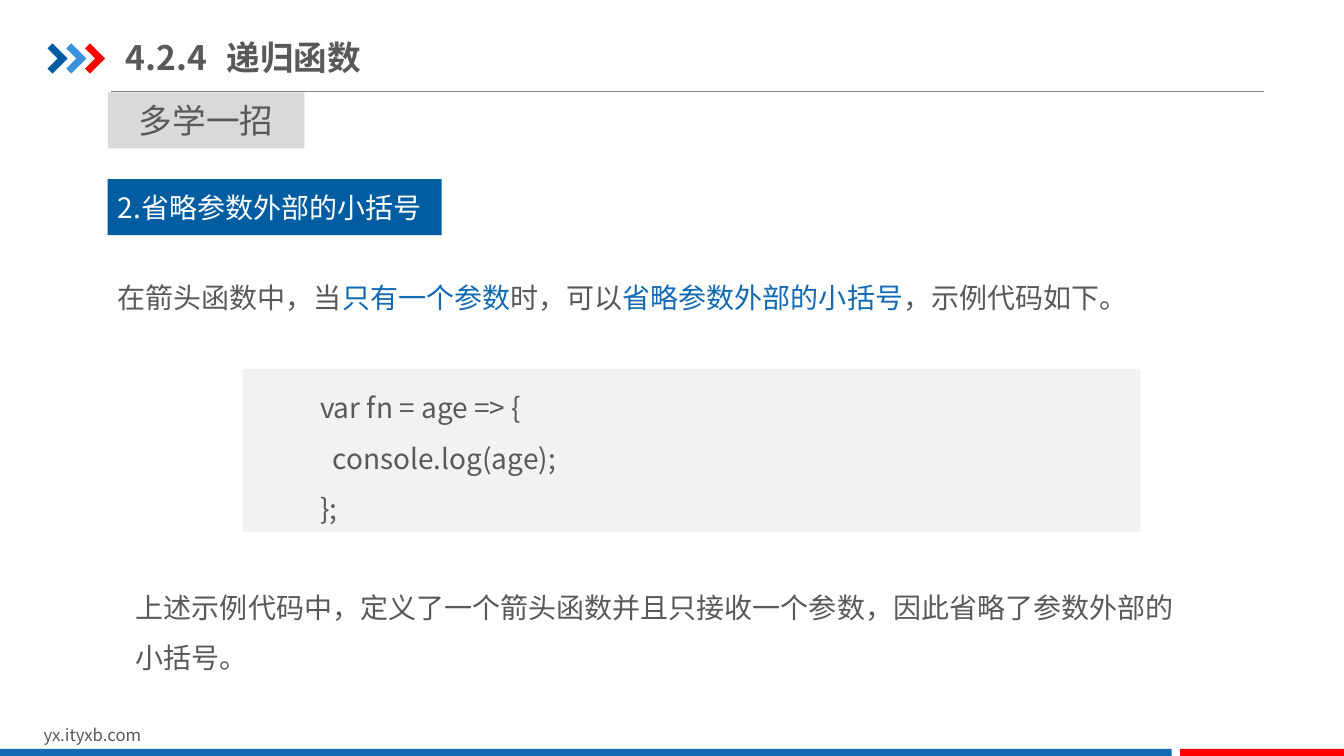
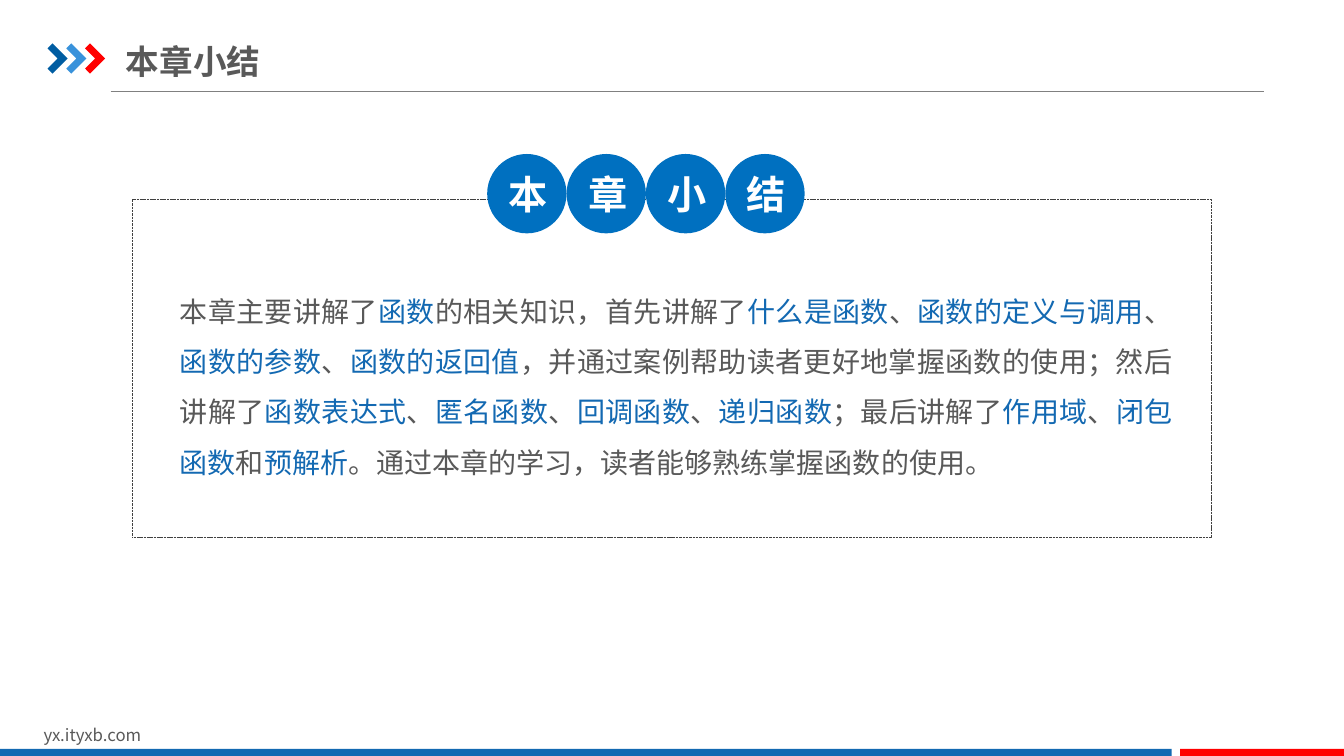
from collections import namedtuple
from dataclasses import dataclass

from lxml.etree import SubElement
from pptx import Presentation
from pptx.dml.color import RGBColor
from pptx.enum.dml import MSO_LINE
from pptx.enum.shapes import MSO_CONNECTOR, MSO_SHAPE
from pptx.enum.text import MSO_ANCHOR, MSO_AUTO_SIZE, PP_ALIGN
from pptx.oxml.ns import qn
from pptx.util import Pt


@dataclass(frozen=True)
class Theme:
    font: str = "Noto Sans CJK SC"
    ink: str = "595959"
    white: str = "FFFFFF"
    blue: str = "1369B2"
    navy: str = "005DA2"
    sky: str = "3992DB"
    disc: str = "0070C0"
    red: str = "FF0000"
    rule: str = "808080"
    edge: str = "404040"
    gray: str = "D9D9D9"
    pale: str = "F2F2F2"
    foot: int = 12
    body: int = 20
    head: int = 24
    big: int = 28


T = Theme()


class Box(namedtuple("Box", "x y w h")):
    def inner(self, x, y, w, h):
        return Box(self.x + x, self.y + y, w, h)

    def points(self):
        return [Pt(v) for v in self]


def tint(color):
    return RGBColor.from_string(color)


def write(shape, text, size=T.body, color=T.ink, bold=False,
          align=PP_ALIGN.LEFT, anchor=MSO_ANCHOR.TOP, pad=(7.2, 3.6),
          space=1.0, level=0, indent=0):
    """Fill a shape with lines of text; words between asterisks turn blue."""
    frame = shape.text_frame
    frame.word_wrap = True
    frame.auto_size = MSO_AUTO_SIZE.NONE
    frame.vertical_anchor = anchor
    frame.margin_left = frame.margin_right = Pt(pad[0])
    frame.margin_top = frame.margin_bottom = Pt(pad[1])
    for row, line in enumerate(text.split("\n")):
        para = frame.add_paragraph() if row else frame.paragraphs[0]
        para.alignment, para.line_spacing, para.level = align, space, level
        if indent:
            para._p.get_or_add_pPr().set("marL", str(Pt(indent)))
        for turn, words in enumerate(line.split("*")):
            if not words:
                continue
            run = para.add_run()
            run.text = words
            font = run.font
            font.size, font.bold, font.name = Pt(size), bold, T.font
            font.color.rgb = tint(T.blue if turn % 2 else color)
            # Chinese characters take the same font
            SubElement(run._r.get_or_add_rPr(), qn("a:ea"), typeface=T.font)


def paint(shape, fill):
    shape.shadow.inherit = False
    shape.fill.solid()
    shape.fill.fore_color.rgb = tint(fill)
    shape.line.fill.background()
    return shape


def block(slide, box, fill, kind=MSO_SHAPE.RECTANGLE):
    return paint(slide.shapes.add_shape(kind, *box.points()), fill)


def note(slide, box, text, **style):
    write(slide.shapes.add_textbox(*box.points()), text, **style)


def arrow(slide, box, fill):
    """Draw a chevron whose arms are a quarter of the width."""
    x, y, w, h = box
    arm = w / 4
    dots = [(0, arm), (arm, 0), (w, h / 2), (arm, h), (0, h - arm),
            (h / 2 - arm, h / 2)]
    dots = [(Pt(x + dx), Pt(y + dy)) for dx, dy in dots]
    shape = slide.shapes.build_freeform(*dots[0], scale=1.0)
    shape.add_line_segments(dots[1:], close=True)
    paint(shape.convert_to_shape(), fill)


def frame(slide, box):
    # Rule under the title
    y = box.y + 65.5
    rule = slide.shapes.add_connector(
        MSO_CONNECTOR.STRAIGHT, Pt(box.x + 79), Pt(y), Pt(box.x + 903), Pt(y))
    rule.line.color.rgb = tint(T.rule)
    rule.line.width = Pt(0.75)
    SubElement(rule._element.spPr, qn("a:effectLst"))
    # Three chevrons
    for i, fill in enumerate((T.navy, T.sky, T.red)):
        arrow(slide, box.inner(34 + 13.4 * i, 31, 14.4, 21.6), fill)
    # Footer
    note(slide, box.inner(24, 514, 229, 22), "yx.ityxb.com", size=T.foot)
    block(slide, box.inner(0, 535, 837, 5), T.blue)
    block(slide, box.inner(843, 535, 117, 5), T.red)


def share(slide, layout):
    """Keep the common shapes on the layout, under every slide."""
    for holder in list(layout.placeholders):
        if holder.placeholder_format.idx:
            holder.element.getparent().remove(holder.element)
    frame(slide, Box(0, 0, 960, 540))
    for shape in list(slide.shapes):
        if not shape.is_placeholder:
            layout.shapes.element.append(shape.element)


def title(slide, text, box):
    shape = slide.shapes.title
    shape.left, shape.top, shape.width, shape.height = box.points()
    write(shape, text, size=T.head, bold=True, anchor=MSO_ANCHOR.MIDDLE,
          pad=(0, 5))


def tip(slide, box):
    # Labels
    tag = block(slide, box.inner(0, 0, 140.5, 40), T.gray)
    write(tag, "多学一招", size=T.head, align=PP_ALIGN.CENTER,
          anchor=MSO_ANCHOR.MIDDLE)
    head = block(slide, box.inner(0, 62, 238.5, 40), T.navy)
    write(head, "2.省略参数外部的小括号", color=T.white,
          anchor=MSO_ANCHOR.MIDDLE)
    # Lead text
    note(slide, box.inner(0, 119, 737, 44),
         "在箭头函数中，当*只有一个参数*时，可以*省略参数外部的小括号*，示例代码如下。",
         space=1.5)
    # Code
    code = block(slide, box.inner(96.5, 197.5, 641, 116.5), T.pale)
    write(code, "var fn = age => {\n  console.log(age);\n};",
          space=1.5, level=1, indent=48)
    # Remark
    note(slide, box.inner(13, 340, 770, 80),
         "上述示例代码中，定义了一个箭头函数并且只接收一个参数，"
         "因此省略了参数外部的小括号。", space=1.5)


def recap(slide, box):
    # Dashed panel
    panel = slide.shapes.add_shape(MSO_SHAPE.RECTANGLE, *box.points())
    panel.shadow.inherit = False
    panel.fill.background()
    panel.line.color.rgb = tint(T.edge)
    panel.line.width = Pt(0.25)
    panel.line.dash_style = MSO_LINE.SQUARE_DOT
    # Summary
    note(slide, box.inner(34, 55.5, 709, 145),
         "本章主要讲解了*函数*的相关知识，首先讲解了*什么是函数*、"
         "*函数的定义与调用*、*函数的参数*、*函数的返回值*，"
         "并通过案例帮助读者更好地掌握函数的使用；然后讲解了*函数表达式*、"
         "*匿名函数*、*回调函数*、*递归函数*；最后讲解了*作用域*、"
         "*闭包函数*和*预解析*。通过本章的学习，读者能够熟练掌握函数的使用。",
         align=PP_ALIGN.JUSTIFY, pad=(0, 0), space=1.5)
    # Row of discs on the top edge
    side = 56.7
    for i, word in enumerate("本章小结"):
        disc = block(slide, box.inner(253.5 + side * i, -32.5, side, side),
                     T.disc, MSO_SHAPE.OVAL)
        write(disc, word, size=T.big, color=T.white, bold=True,
              align=PP_ALIGN.CENTER, anchor=MSO_ANCHOR.MIDDLE)


def main():
    deck = Presentation()
    deck.slide_width, deck.slide_height = Pt(960), Pt(540)
    layout = deck.slide_layouts[5]

    first = deck.slides.add_slide(layout)
    share(first, layout)
    title(first, "4.2.4\t递归函数", Box(90, 21, 307, 40))
    tip(first, Box(77, 66, 826, 420))

    last = deck.slides.add_slide(layout)
    title(last, "本章小结", Box(90, 26, 379, 35))
    recap(last, Box(94.5, 142.5, 771, 241))

    deck.save("out.pptx")


if __name__ == "__main__":
    main()
